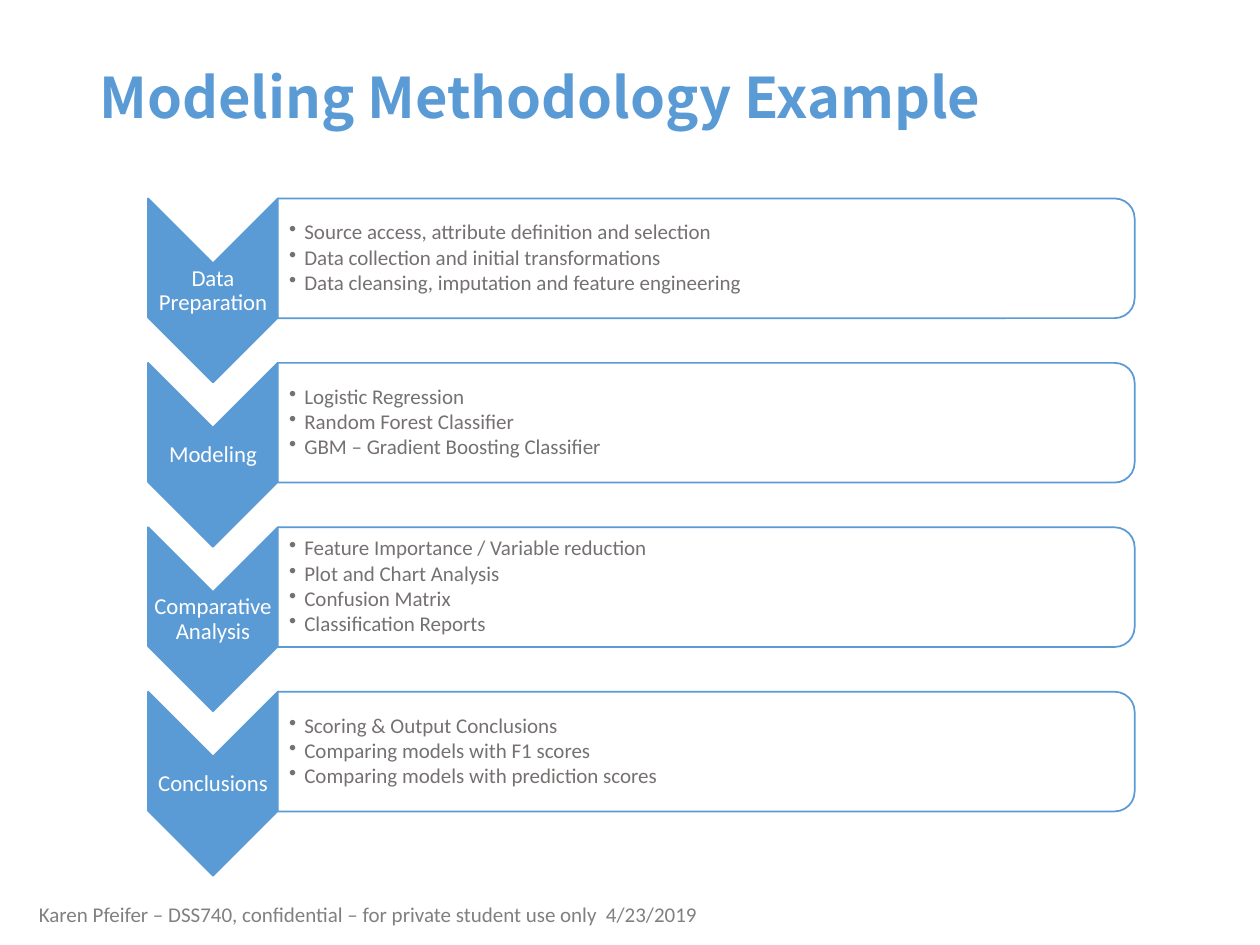
import pptx
import pptx.util
import pptx.dml.color
import pptx.enum.shapes
import pptx.enum.text
import pptx.oxml.ns
from dataclasses import dataclass
from lxml import etree

SHAPE = pptx.enum.shapes.MSO_SHAPE
ANCHOR = pptx.enum.text.MSO_ANCHOR
ALIGN = pptx.enum.text.PP_ALIGN
Pt = pptx.util.Pt
qn = pptx.oxml.ns.qn


@dataclass
class Theme:
    """Colours, fonts and type sizes of the slide."""
    accent: str = "5B9BD5"
    white: str = "FFFFFF"
    body: str = "767171"
    footer: str = "808080"
    title_font: str = "Noto Sans CJK KR"
    body_font: str = "Calibri"
    title_size: int = 32
    label_size: int = 13
    body_size: int = 12


def rgb(value):
    """Turn a hex string into a colour."""
    return pptx.dml.color.RGBColor.from_string(value)


class Deck:
    """Draws on one slide, with lengths in cells of a 100 by 75 grid."""

    def __init__(self, prs, theme):
        """Add a blank slide and work out the grid cell."""
        self.theme = theme
        self.slide = prs.slides.add_slide(prs.slide_layouts[6])
        self.cell = prs.slide_width / 100

    def box(self, *cells):
        """Convert grid cells to slide units."""
        return [round(c * self.cell) for c in cells]

    def turned(self, kind, x, y, w, h, fill, alpha=100):
        """Add a shape turned by 90 degrees that fills the given box."""
        left, top = x + (w - h) / 2, y + (h - w) / 2
        sp = self.slide.shapes.add_shape(kind, *self.box(left, top, h, w))
        sp.rotation = 90
        sp.shadow.inherit = False
        sp.fill.solid()
        sp.fill.fore_color.rgb = rgb(fill)
        if alpha < 100:
            color = sp._element.spPr.find(qn("a:solidFill"))[0]
            etree.SubElement(color, qn("a:alpha"), val=str(alpha * 1000))
        sp.line.color.rgb = rgb(self.theme.accent)
        sp.line.width = Pt(1)

    def text(self, x, y, w, h, lines, size, color, font=None, bold=False,
             align=ALIGN.LEFT, anchor=ANCHOR.MIDDLE, insets=(1, 0.5, 1, 0.5),
             before=0, after=0, bullet=False):
        """Add a text box with one paragraph for each line."""
        tf = self.slide.shapes.add_textbox(*self.box(x, y, w, h)).text_frame
        tf.word_wrap = True
        tf.vertical_anchor = anchor
        (tf.margin_left, tf.margin_top,
         tf.margin_right, tf.margin_bottom) = self.box(*insets)
        tf.text = "\n".join(lines)
        for p in tf.paragraphs:
            p.alignment = align
            p.line_spacing = 0.9
            p.space_before, p.space_after = Pt(before), Pt(after)
            if bullet:
                self.bullet(p)
            for r in p.runs:
                r.font.size = Pt(size)
                r.font.bold = bold
                r.font.name = font or self.theme.body_font
                r.font.color.rgb = rgb(color)

    def bullet(self, p):
        """Give a paragraph a hanging bullet."""
        indent = self.box(1.2)[0]
        pPr = p._p.get_or_add_pPr()
        pPr.set("marL", str(indent))
        pPr.set("indent", str(-indent))
        etree.SubElement(pPr, qn("a:buChar"), char="\u2022")

    def step(self, y, label, points):
        """Add a labelled chevron and its panel of points."""
        t = self.theme
        x, w, panel_w, panel_h = 11.75, 10.3, 68, 9.5
        self.turned(SHAPE.CHEVRON, x, y, w, 14.6, t.accent)
        self.text(x, y + 5.15, w, 4.4, [label], t.label_size, t.white,
                  align=ALIGN.CENTER, insets=(0.1,) * 4)
        self.turned(SHAPE.ROUND_2_SAME_RECTANGLE, x + w, y, panel_w, panel_h,
                    t.white, alpha=90)
        self.text(x + w, y + 0.45, panel_w - 0.5, panel_h - 0.9, points,
                  t.body_size, t.body, insets=(0.9, 0.1, 0.1, 0.1),
                  after=1.5, bullet=True)


STEPS = [
    ("Data Preparation", ["Source access, attribute definition and selection",
                          "Data collection and initial transformations",
                          "Data cleansing, imputation and feature engineering"]),
    ("Modeling", ["Logistic Regression",
                  "Random Forest Classifier",
                  "GBM – Gradient Boosting Classifier"]),
    ("Comparative Analysis", ["Feature Importance / Variable reduction",
                              "Plot and Chart Analysis",
                              "Confusion Matrix",
                              "Classification Reports"]),
    ("Conclusions", ["Scoring & Output Conclusions",
                     "Comparing models with F1 scores",
                     "Comparing models with prediction scores"]),
]
FIRST_STEP, STEP_PITCH = 15.75, 13.05

prs = pptx.Presentation()
prs.slide_width, prs.slide_height = pptx.util.Inches(10), pptx.util.Inches(7.5)
theme = Theme()
deck = Deck(prs, theme)
deck.text(6.9, 4, 86.2, 8, ["Modeling Methodology Example"],
          theme.title_size, theme.accent, theme.title_font, bold=True)
for i, (label, points) in enumerate(STEPS):
    deck.step(FIRST_STEP + i * STEP_PITCH, label, points)
deck.text(2.1, 71.3, 61.9, 2.9,
          ["Karen Pfeifer – DSS740, confidential – for private student use only"
           "  4/23/2019"],
          theme.body_size, theme.footer, anchor=ANCHOR.TOP, before=10)
prs.save("out.pptx")
